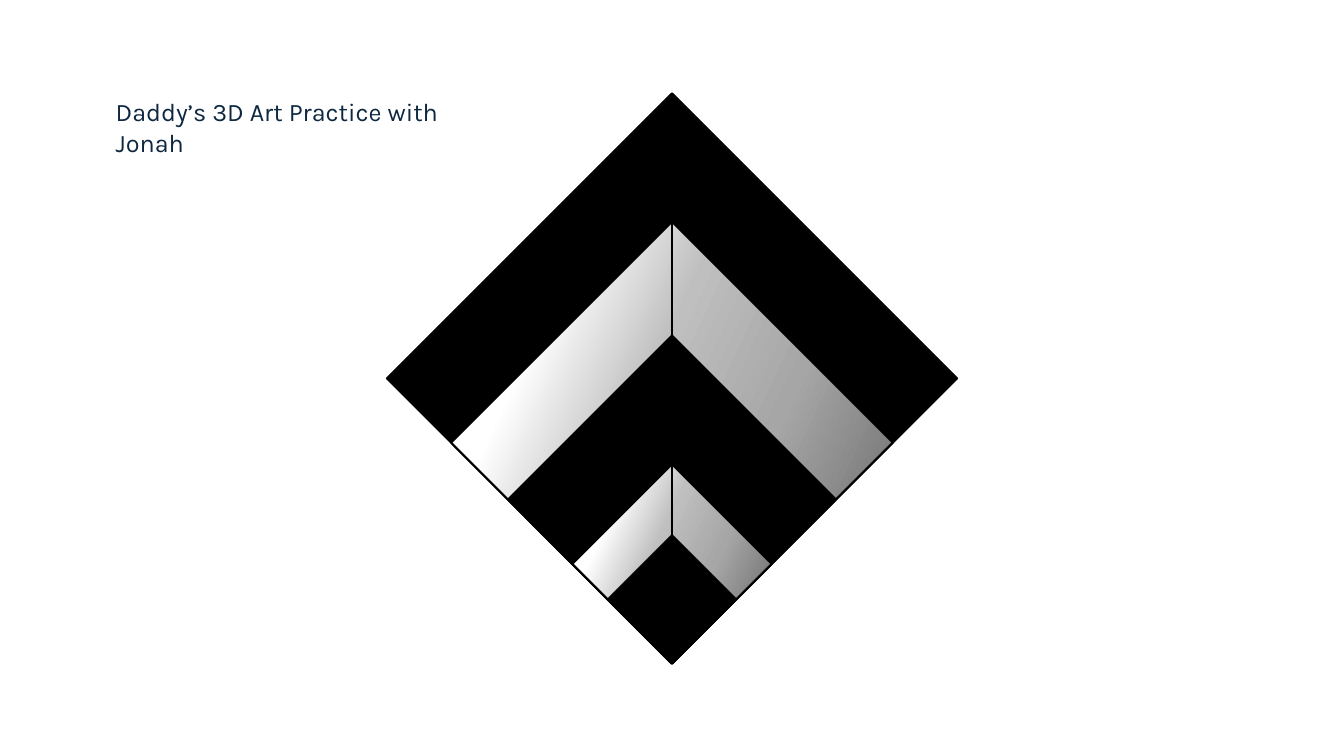
import copy
import math

import pptx
import pptx.dml.color
import pptx.enum.shapes
import pptx.enum.text
import pptx.oxml.ns
import pptx.util

Pt = pptx.util.Pt
qn = pptx.oxml.ns.qn

COLORS = {
    "black": "000000",
    "navy": "0E2841",
    "white": "FFFFFF",
    "light": "BFBFBF",
    "mid": "A6A6A6",
    "dark": "808080",
}
METAL_STOPS = [(0.21, "white"), (0.42, "light"), (0.65, "mid"), (0.84, "dark")]
DIAMOND_SIDES = [(288, False), (223.2, True), (165.6, False), (100.8, True), (64.8, False)]


def rgb(name):
    return pptx.dml.color.RGBColor.from_string(COLORS[name])


def fill_metal(sp):
    """Give the shape a white-to-grey gradient that turns with it."""
    sp.fill.gradient()
    sp.fill.gradient_angle = 20
    stops = sp._element.spPr.find(qn("a:gradFill")).find(qn("a:gsLst"))
    while len(stops) < len(METAL_STOPS):
        stops.append(copy.deepcopy(stops[0]))
    for stop, (position, color) in zip(sp.fill.gradient_stops, METAL_STOPS):
        stop.position = position
        stop.color.rgb = rgb(color)


def add_diamond(slide, cx, bottom, side, metal):
    """Add a square turned by 45 degrees, standing on the point (cx, bottom)."""
    cy = bottom - side / math.sqrt(2)
    sp = slide.shapes.add_shape(
        pptx.enum.shapes.MSO_SHAPE.RECTANGLE,
        Pt(cx - side / 2), Pt(cy - side / 2), Pt(side), Pt(side))
    sp.rotation = 45
    sp.shadow.inherit = False
    if metal:
        fill_metal(sp)
    else:
        sp.fill.solid()
        sp.fill.fore_color.rgb = rgb("black")
    sp.line.color.rgb = rgb("black")
    sp.line.width = Pt(1.5)


def add_nested_diamonds(slide, left, top, width, height):
    """Nest the diamonds on a shared bottom corner and split them by an edge line."""
    cx, bottom = left + width / 2, top + height
    for side, metal in DIAMOND_SIDES:
        add_diamond(slide, cx, bottom, side, metal)
    edge = slide.shapes.add_connector(
        pptx.enum.shapes.MSO_CONNECTOR.STRAIGHT, Pt(cx), Pt(top), Pt(cx), Pt(bottom))
    edge.line.color.rgb = rgb("black")
    edge.line.width = Pt(1)
    edge._element.spPr.append(pptx.oxml.parse_xml(
        '<a:effectLst xmlns:a="http://schemas.openxmlformats.org/drawingml/2006/main"/>'))


def add_text(slide, text, left, top, width, height, *, size, font, color):
    tf = slide.shapes.add_textbox(Pt(left), Pt(top), Pt(width), Pt(height)).text_frame
    tf.word_wrap = True
    tf.auto_size = pptx.enum.text.MSO_AUTO_SIZE.SHAPE_TO_FIT_TEXT
    r = tf.paragraphs[0].add_run()
    r.text = text
    r.font.size = Pt(size)
    r.font.name = font
    r.font.color.rgb = rgb(color)


def main():
    prs = pptx.Presentation()
    prs.slide_width, prs.slide_height = Pt(960), Pt(540)
    slide = prs.slides.add_slide(prs.slide_layouts.get_by_name("Blank"))
    add_nested_diamonds(slide, 276, 66.4, 408, 407.6)
    add_text(slide, "Daddy’s 3D Art Practice with Jonah", 75.6, 65.5, 285, 29,
             size=18, font="Karla", color="navy")
    prs.save("out.pptx")


if __name__ == "__main__":
    main()
